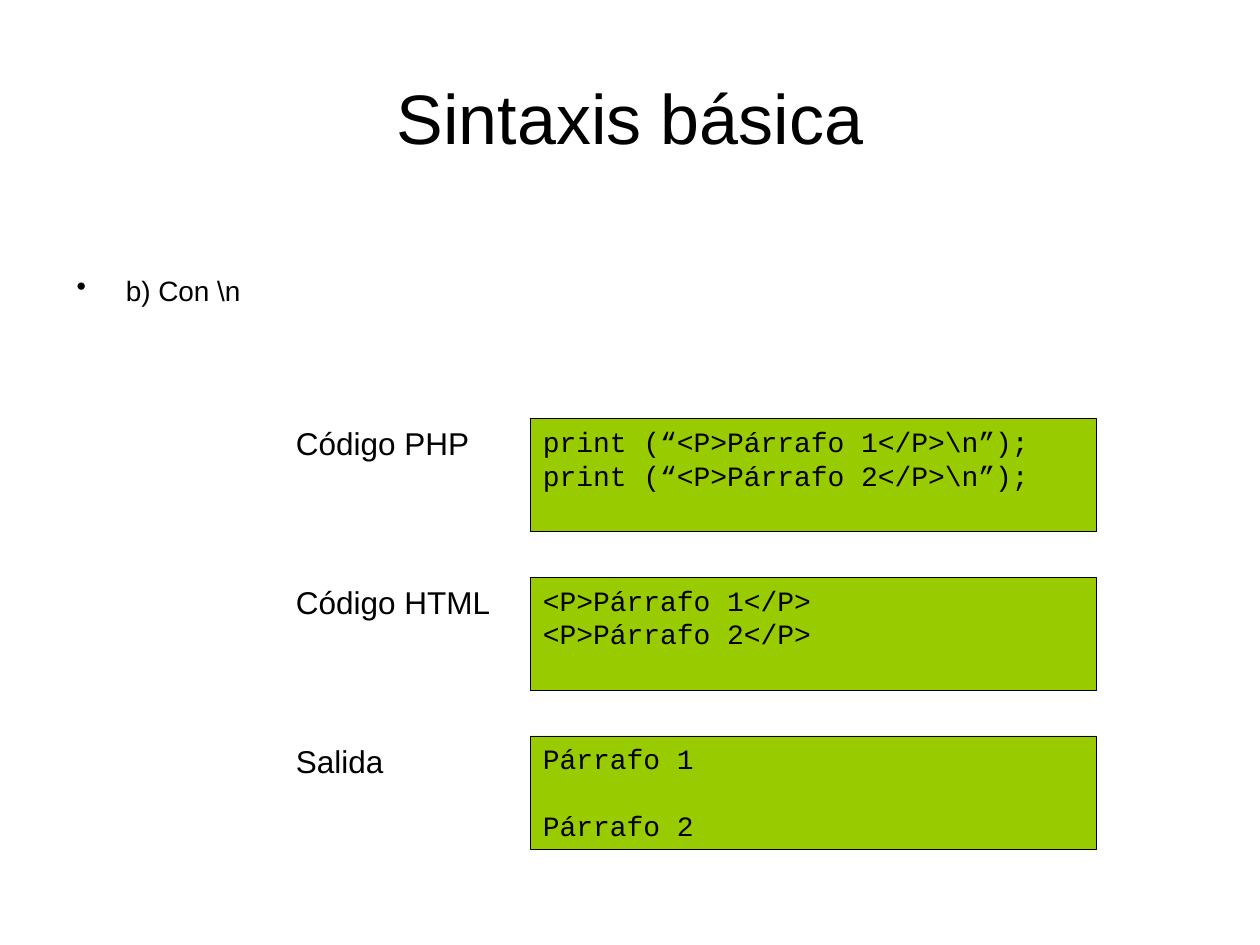
from lxml import etree
from pptx import Presentation
from pptx.dml.color import RGBColor
from pptx.enum import shapes, text
from pptx.oxml.ns import qn
from pptx.util import Inches, Pt

TITLE = "Sintaxis básica"
BULLET = "b) Con \\n"
# label, code lines, points between lines
ROWS = [
    ("Código PHP", ["print (“<P>Párrafo 1</P>\\n”);", "print (“<P>Párrafo 2</P>\\n”);"], 0),
    ("Código HTML", ["<P>Párrafo 1</P>", "<P>Párrafo 2</P>"], 0),
    ("Salida", ["Párrafo 1", "Párrafo 2"], 19),
]
BLACK, GREEN = "000000", "99CC00"
ROW_TOP, ROW_PITCH = 3.32, 1.26
LABEL_LEFT, CODE_LEFT = 2.25, 4.21


def color(value):
    return RGBColor.from_string(value)


def write(sp, lines, size, font="Arial", align=text.PP_ALIGN.LEFT,
          anchor=text.MSO_ANCHOR.TOP, gap=0, wrap=True):
    tf = sp.text_frame
    tf.word_wrap = wrap
    tf.vertical_anchor = anchor
    for i, line in enumerate(lines):
        p = tf.add_paragraph() if i else tf.paragraphs[0]
        p.text = line
        p.alignment = align
        if i and gap:
            p.space_before = Pt(gap)
        p.font.size = Pt(size)
        p.font.name = font
        p.font.color.rgb = color(BLACK)
    return tf


def add_bullet(p, indent):
    pPr = p._p.get_or_add_pPr()
    pPr.set("marL", str(Inches(indent)))
    pPr.set("indent", str(-Inches(indent)))
    bullet = etree.Element(qn("a:buChar"), char="•")
    pPr.insert_element_before(bullet, "a:tabLst", "a:defRPr", "a:extLst")


prs = Presentation()
prs.slide_width, prs.slide_height = Inches(10), Inches(7.5)
s = prs.slides.add_slide(prs.slide_layouts[6])


def add_text(left, top, width, height, line, size, **style):
    sp = s.shapes.add_textbox(Inches(left), Inches(top), Inches(width), Inches(height))
    return write(sp, [line], size, **style)


add_text(0.5, 0.3, 9, 1.25, TITLE, 40, align=text.PP_ALIGN.CENTER,
         anchor=text.MSO_ANCHOR.MIDDLE)
p = add_text(0.51, 2.17, 9, 0.88, BULLET, 16).paragraphs[0]
p.line_spacing = 0.8
add_bullet(p, 0.39)

for i, (label, code, gap) in enumerate(ROWS):
    top = ROW_TOP + i * ROW_PITCH
    sp = s.shapes.add_shape(shapes.MSO_SHAPE.RECTANGLE, Inches(CODE_LEFT), Inches(top),
                            Inches(4.49), Inches(0.9))
    sp.shadow.inherit = False
    sp.fill.solid()
    sp.fill.fore_color.rgb = color(GREEN)
    sp.line.color.rgb = color(BLACK)
    sp.line.width = Pt(0.25)
    write(sp, code, 16, font="Courier New", gap=gap)
    add_text(LABEL_LEFT, top, 1.74, 0.4, label, 18, wrap=False)

prs.save("out.pptx")
